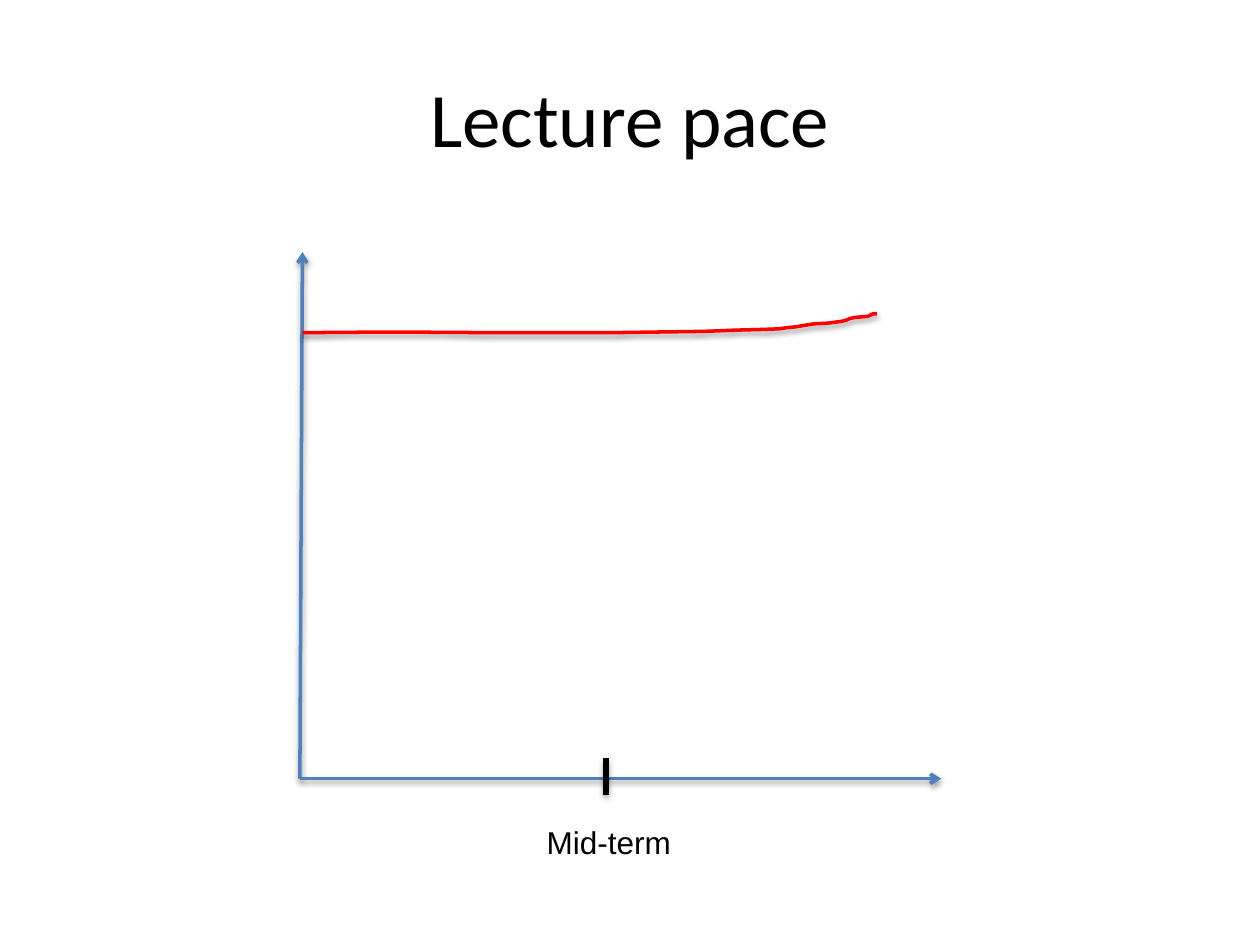
from lxml.etree import SubElement
from pptx import Presentation
from pptx.dml.color import RGBColor
from pptx.enum.shapes import MSO_CONNECTOR
from pptx.enum.text import MSO_ANCHOR, MSO_AUTO_SIZE, PP_ALIGN
from pptx.oxml import parse_xml
from pptx.oxml.ns import nsdecls, qn
from pptx.util import Inches, Pt

BLACK = RGBColor(0x00, 0x00, 0x00)
BLUE = RGBColor(0x4F, 0x81, 0xBD)
RED = RGBColor(0xFF, 0x00, 0x00)

SHADOW = (
    f'<a:effectLst {nsdecls("a")}>'
    '<a:outerShdw blurRad="40000" dist="20000" dir="5400000" rotWithShape="0">'
    '<a:srgbClr val="000000"><a:alpha val="38000"/></a:srgbClr>'
    '</a:outerShdw></a:effectLst>'
)
PACE_POINTS = [
    (0.02, 0.64), (0.72, 0.635), (1.56, 0.64), (2.48, 0.64), (2.84, 0.635),
    (3.21, 0.63), (3.46, 0.62), (3.66, 0.615), (3.80, 0.61), (3.87, 0.6),
    (3.93, 0.595), (4.02, 0.58), (4.08, 0.57), (4.19, 0.565), (4.30, 0.55),
    (4.34, 0.54), (4.36, 0.53), (4.40, 0.52), (4.51, 0.51), (4.55, 0.49),
    (4.58, 0.49),
]


def style_line(shape, color, width):
    """Give a line its colour, width and soft shadow."""
    shape.line.color.rgb = color
    shape.line.width = Pt(width)
    shape._element.spPr.append(parse_xml(SHADOW))


def add_line(page, start, end, color, width, arrow=False):
    """Draw a straight line, with an arrowhead at its end if wanted."""
    line = page.shapes.add_connector(
        MSO_CONNECTOR.STRAIGHT, *map(Inches, (*start, *end)))
    style_line(line, color, width)
    if arrow:
        SubElement(line.line._get_or_add_ln(), qn("a:tailEnd"), type="arrow")


def add_title(page, text, left, top, width, height):
    """Fill and place the title placeholder."""
    title = page.shapes.title
    title.left, title.top = Inches(left), Inches(top)
    title.width, title.height = Inches(width), Inches(height)
    title.text_frame.text = text
    title.text_frame.vertical_anchor = MSO_ANCHOR.MIDDLE
    para = title.text_frame.paragraphs[0]
    para.alignment = PP_ALIGN.CENTER
    para.font.name, para.font.size = "Calibri", Pt(44)
    para.font.color.rgb = BLACK


def add_label(page, text, left, top, width, height):
    """Write a label on one unwrapped line."""
    box = page.shapes.add_textbox(*map(Inches, (left, top, width, height)))
    frame = box.text_frame
    frame.word_wrap = False
    frame.auto_size = MSO_AUTO_SIZE.SHAPE_TO_FIT_TEXT
    frame.text = text
    font = frame.paragraphs[0].font
    font.name, font.size = "Arial", Pt(18)
    font.color.rgb = BLACK


def add_pace_curve(page, left, top):
    """Draw the pace curve from the top left corner of the plot."""
    points = [(Inches(left + x), Inches(top + y)) for x, y in PACE_POINTS]
    builder = page.shapes.build_freeform(*points[0])
    builder.add_line_segments(points[1:], close=False)
    curve = builder.convert_to_shape()
    curve.fill.background()
    style_line(curve, RED, 2)


def add_plot(page, left, top, width, height):
    """Draw the axes, the mid-term mark and the pace curve in a box."""
    bottom, middle = top + height, left + 2.43
    origin = (left, bottom)
    add_line(page, origin, (left + 0.02, top), BLUE, 2, arrow=True)
    add_line(page, origin, (left + width, bottom), BLUE, 2, arrow=True)
    add_label(page, "Mid-term", middle - 0.57, bottom + 0.3, 1.2, 0.4)
    add_line(page, (middle, bottom + 0.13), (middle, bottom - 0.16), BLACK, 3)
    add_pace_curve(page, left, top)


def main():
    """Build and save the slide."""
    deck = Presentation()
    deck.slide_width, deck.slide_height = Inches(10), Inches(7.5)
    page = deck.slides.add_slide(deck.slide_layouts[5])
    add_title(page, "Lecture pace", 0.5, 0.3, 9, 1.25)
    add_plot(page, 2.38, 2, 5.09, 4.18)
    deck.save("out.pptx")


if __name__ == "__main__":
    main()
